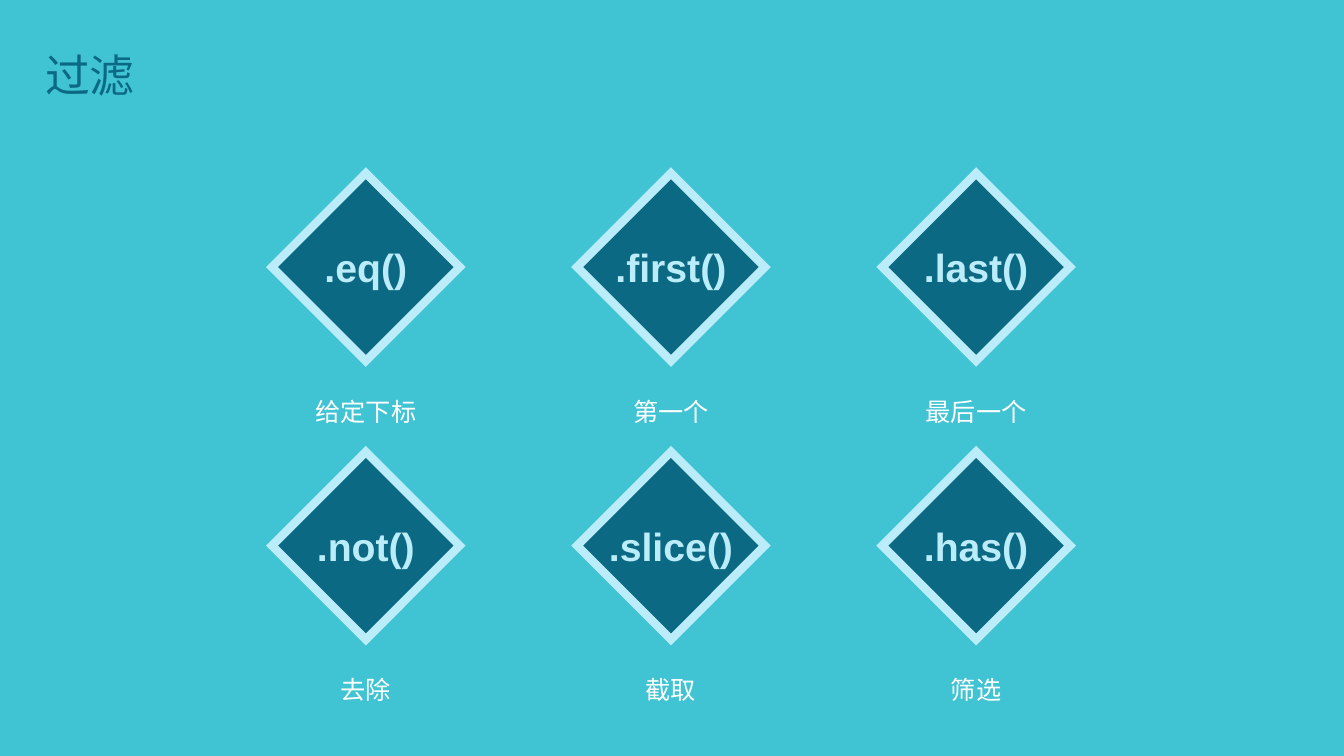
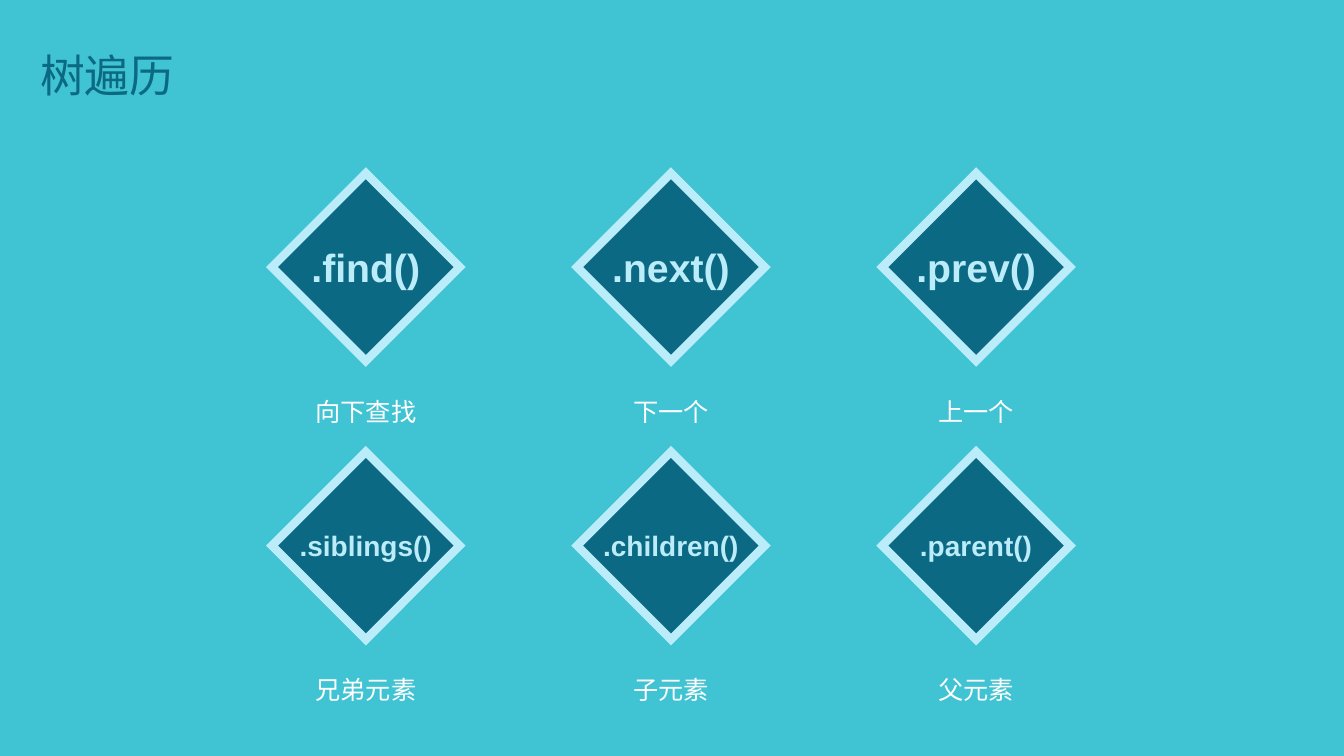
from dataclasses import dataclass

from lxml import etree
from pptx import Presentation
from pptx.dml.color import RGBColor
from pptx.enum.shapes import MSO_SHAPE
from pptx.enum.text import MSO_ANCHOR, PP_ALIGN
from pptx.oxml.ns import qn
from pptx.util import Cm, Pt

DIAMOND = MSO_SHAPE.DIAMOND
LEFT, CENTER = PP_ALIGN.LEFT, PP_ALIGN.CENTER
TOP, MIDDLE = MSO_ANCHOR.TOP, MSO_ANCHOR.MIDDLE


@dataclass(frozen=True)
class Theme:
    back: RGBColor = RGBColor.from_string("40C3D3")
    dark: RGBColor = RGBColor.from_string("0B6983")
    pale: RGBColor = RGBColor.from_string("BBECF9")
    white: RGBColor = RGBColor.from_string("FFFFFF")
    font: str = "Arial"
    title: int = 32
    large: int = 28
    small: int = 20
    note: int = 18
    edge: int = 6


THEME = Theme()

# Grid of diamonds, in cm: first centre, steps and sizes
COLS = 3
MID_X, MID_Y = 9.22, 6.73
STEP_X, STEP_Y = 7.69, 7.02
SIDE = 4.73
NOTE_W, NOTE_H, NOTE_DROP = 6.43, 1.6, 2.74

# Title, left edge in cm, then name, note and type size of each method
SLIDES = [
    ("过滤", 0.89, [
        (".eq()", "给定下标", THEME.large),
        (".first()", "第一个", THEME.large),
        (".last()", "最后一个", THEME.large),
        (".not()", "去除", THEME.large),
        (".slice()", "截取", THEME.large),
        (".has()", "筛选", THEME.large),
    ]),
    ("树遍历", 0.76, [
        (".find()", "向下查找", THEME.large),
        (".next()", "下一个", THEME.large),
        (".prev()", "上一个", THEME.large),
        (".siblings()", "兄弟元素", THEME.small),
        (".children()", "子元素", THEME.small),
        (".parent()", "父元素", THEME.small),
    ]),
]


def write(shape, text, size, color, align=CENTER, anchor=MIDDLE,
          space=1.0, bold=False, wrap=True):
    """Fill a shape with one styled line of text."""
    frame = shape.text_frame
    frame.word_wrap = wrap
    frame.vertical_anchor = anchor
    frame.text = text
    para = frame.paragraphs[0]
    para.alignment = align
    para.line_spacing = space
    font = para.runs[0].font
    font.name = THEME.font
    font.size = Pt(size)
    font.bold = bold
    font.color.rgb = color


def add_title(slide, text, left):
    box = slide.shapes.add_textbox(Cm(left), Cm(0.46), Cm(18.52), Cm(3))
    write(box, text, THEME.title, THEME.dark, align=LEFT, space=0.9)


def add_note(group, text, x, y):
    box = group.shapes.add_textbox(Cm(x - NOTE_W / 2), Cm(y + NOTE_DROP),
                                   Cm(NOTE_W), Cm(NOTE_H))
    write(box, text, THEME.note, THEME.white, anchor=TOP, space=1.5)


def add_diamond(group, text, size, x, y):
    shape = group.shapes.add_shape(DIAMOND, Cm(x - SIDE / 2), Cm(y - SIDE / 2),
                                   Cm(SIDE), Cm(SIDE))
    shape.shadow.inherit = False
    shape.fill.solid()
    shape.fill.fore_color.rgb = THEME.dark
    shape.line.color.rgb = THEME.pale
    shape.line.width = Pt(THEME.edge)
    # Sharp corners on the outline
    line = shape.element.spPr.find(qn("a:ln"))
    etree.SubElement(line, qn("a:miter")).set("lim", "800000")
    write(shape, text, size, THEME.pale, bold=True, wrap=False)


def add_grid(slide, items):
    """Lay out the methods row by row, each a diamond above its note."""
    for index, (name, note, size) in enumerate(items):
        row, col = divmod(index, COLS)
        x, y = MID_X + col * STEP_X, MID_Y + row * STEP_Y
        group = slide.shapes.add_group_shape()
        add_note(group, note, x, y)
        add_diamond(group, name, size, x, y)


def main():
    deck = Presentation()
    deck.slide_width, deck.slide_height = Cm(33.87), Cm(19.05)

    # Shared background
    fill = deck.slide_master.background.fill
    fill.solid()
    fill.fore_color.rgb = THEME.back

    blank = deck.slide_layouts[6]
    for title, left, items in SLIDES:
        slide = deck.slides.add_slide(blank)
        add_grid(slide, items)
        add_title(slide, title, left)

    deck.save("out.pptx")


if __name__ == "__main__":
    main()
